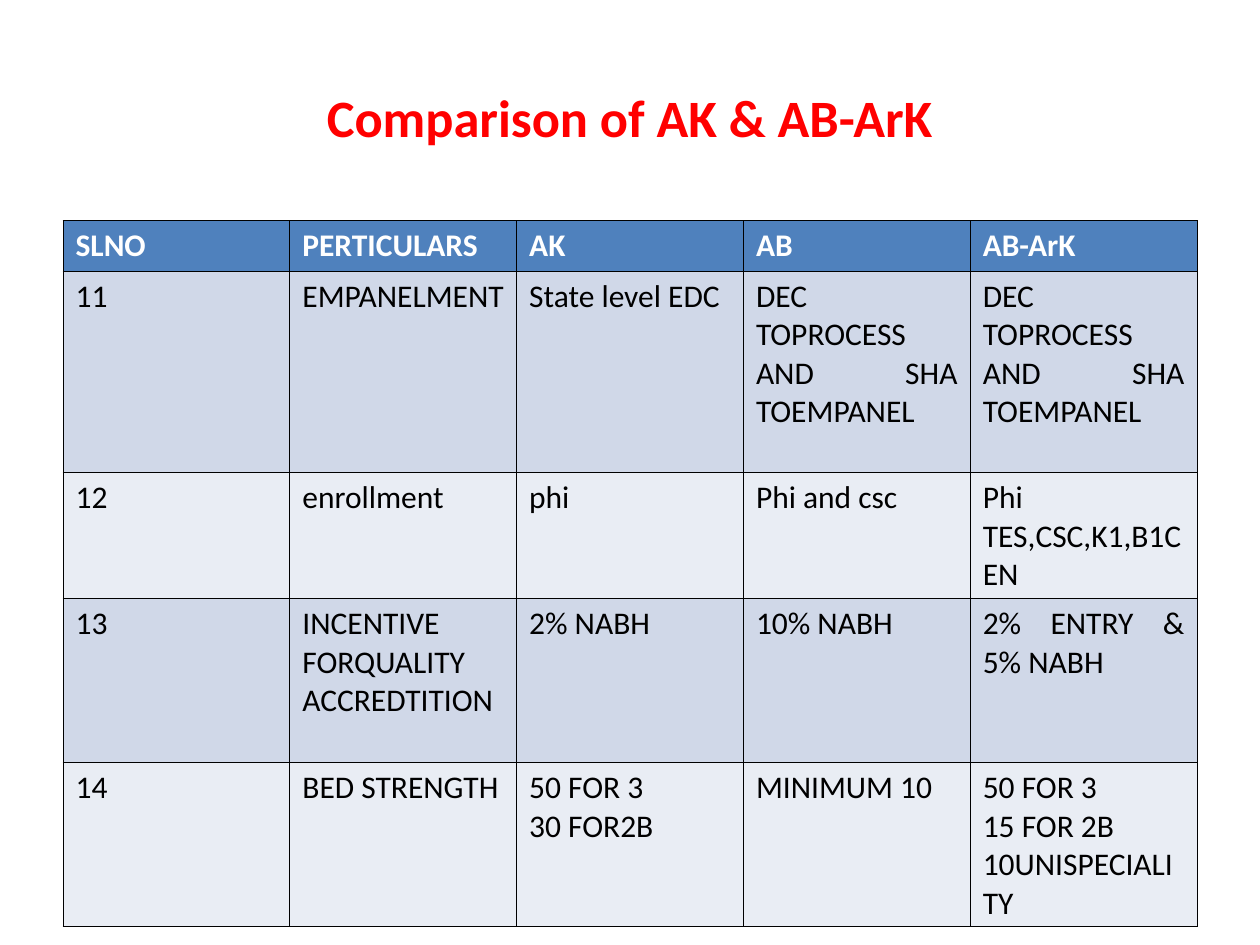
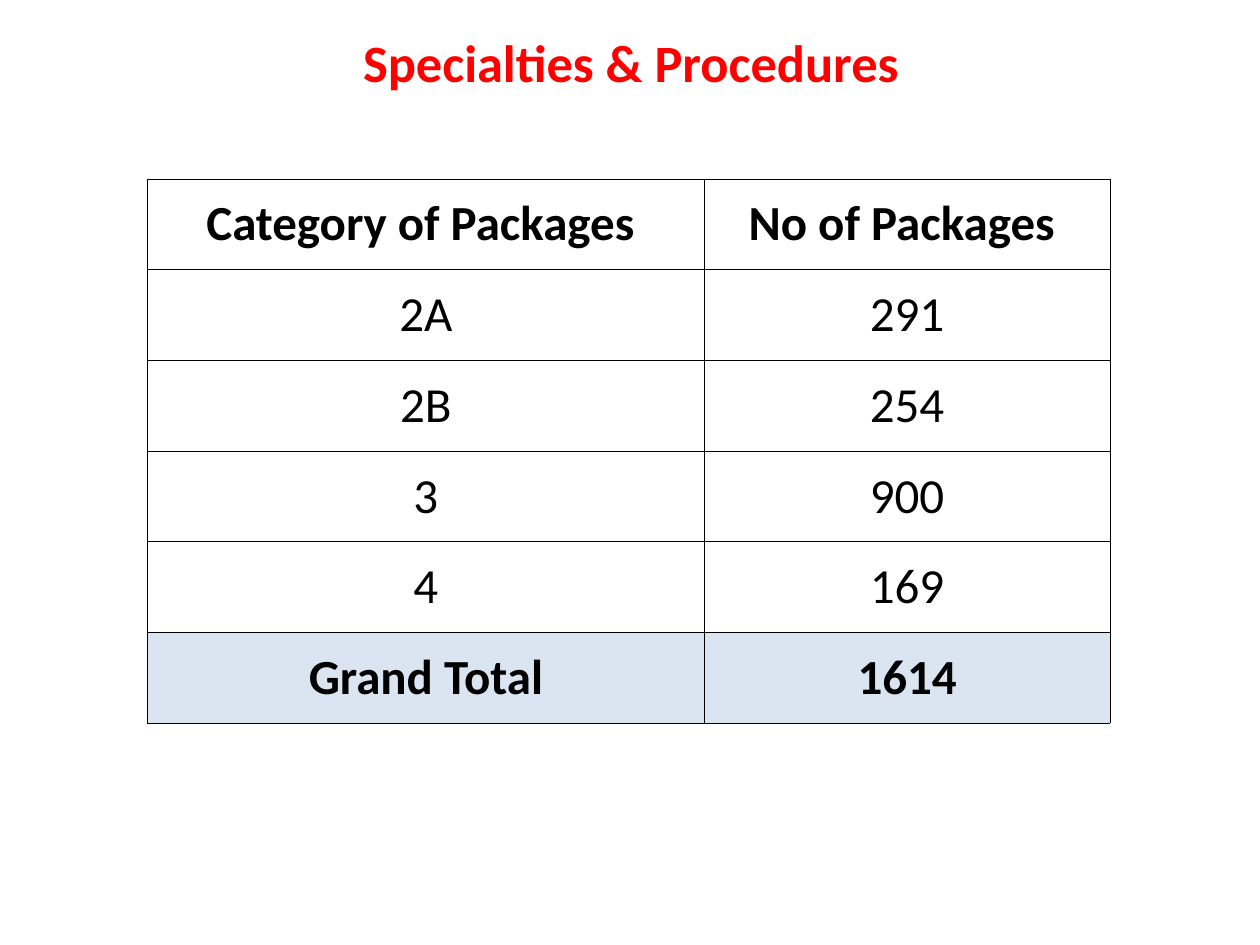
from lxml import etree
from pptx import Presentation
from pptx.dml.color import RGBColor
from pptx.enum.text import MSO_ANCHOR, PP_ALIGN
from pptx.oxml.ns import qn
from pptx.util import Inches, Pt

CENTER, JUSTIFY = PP_ALIGN.CENTER, PP_ALIGN.JUSTIFY
TOP, MIDDLE = MSO_ANCHOR.TOP, MSO_ANCHOR.MIDDLE
FONT = "Calibri"
COLORS = {
    "title": "FF0000", "text": "000000", "border": "000000",
    "header": "4F81BD", "header text": "FFFFFF",
    "odd band": "D0D8E8", "even band": "E9EDF4", "total": "DBE5F1",
}

COMPARISON = [
    ["SLNO", "PERTICULARS", "AK", "AB", "AB-ArK"],
    ["11", "EMPANELMENT", "State level EDC",
     "DEC TOPROCESS AND SHA TOEMPANEL", "DEC TOPROCESS AND SHA TOEMPANEL"],
    ["12", "enrollment", "phi", "Phi and csc", "Phi TES,CSC,K1,B1CEN"],
    ["13", "INCENTIVE FORQUALITY ACCREDTITION", "2% NABH", "10% NABH",
     "2% ENTRY & 5% NABH"],
    ["14", "BED STRENGTH", "50 FOR 3\n30 FOR2B", "MINIMUM 10",
     "50 FOR 3\n15 FOR 2B\n10UNISPECIALITY"],
]
PACKAGES = [
    ["Category of Packages ", "No of Packages "],
    ["2A", "291"],
    ["2B", "254"],
    ["3", "900"],
    ["4", "169"],
    ["Grand Total", "1614"],
]

# Row styles are (fill, text colour, bold); a fill of None leaves the cell clear.
HEADER = ("header", "header text", True)
ODD, EVEN = ("odd band", "text", False), ("even band", "text", False)
PLAIN_BOLD, PLAIN = (None, "text", True), (None, "text", False)
TOTAL = ("total", "text", True)

SLIDES = [
    {
        "title": "Comparison of AK & AB-ArK",
        "title box": (0.5, 0.3, 9, 1.25), "title right inset": 0.1,
        "rows": COMPARISON, "corner": (0.5, 1.75),
        "widths": [1.8] * 5, "heights": [0.4, 1.6, 1, 1.3, 1.3],
        "row styles": [HEADER, ODD, EVEN, ODD, EVEN],
        "size": 18, "align": JUSTIFY, "anchor": TOP,
        "side inset": 0.1, "border": 0.45,
    },
    {
        "title": "Specialties & Procedures",
        "title box": (2.42, 0.25, 5.32, 0.47), "title right inset": 0.24,
        "rows": PACKAGES, "corner": (1.17, 1.42),
        "widths": [4.42, 3.22], "heights": [0.72] * 6,
        "row styles": [PLAIN_BOLD] + [PLAIN] * 4 + [TOTAL],
        "size": 28, "align": CENTER, "anchor": MIDDLE,
        "side inset": 0.01, "border": 0.23,
    },
]


def write_text(frame, text, align, size, color, bold):
    frame.text = text
    for paragraph in frame.paragraphs:
        paragraph.alignment = align
        font = paragraph.font
        for key, value in {"name": FONT, "size": Pt(size), "bold": bold}.items():
            setattr(font, key, value)
        font.color.rgb = RGBColor.from_string(COLORS[color])


def add_title(slide, content):
    box = slide.shapes.add_textbox(*map(Inches, content["title box"]))
    frame = box.text_frame
    frame.word_wrap = True
    frame.vertical_anchor = MIDDLE
    frame.margin_right = Inches(content["title right inset"])
    write_text(frame, content["title"], CENTER, 30, "title", True)


def outline_cell(cell, width):
    """Draw all four borders; they must precede the fill in the cell XML."""
    properties = cell._tc.get_or_add_tcPr()
    for side in ("lnL", "lnR", "lnT", "lnB"):
        line = etree.SubElement(properties, qn(f"a:{side}"), w=str(Pt(width)))
        fill = etree.SubElement(line, qn("a:solidFill"))
        etree.SubElement(fill, qn("a:srgbClr"), val=COLORS["border"])


def format_cell(cell, text, content, fill, color, bold):
    inset = Inches(content["side inset"])
    layout = {"margin_left": inset, "margin_right": inset,
              "margin_top": Inches(0.05), "margin_bottom": Inches(0.05),
              "vertical_anchor": content["anchor"]}
    for key, value in layout.items():
        setattr(cell, key, value)
    outline_cell(cell, content["border"])
    if fill:
        cell.fill.solid()
        cell.fill.fore_color.rgb = RGBColor.from_string(COLORS[fill])
    else:
        cell.fill.background()
    write_text(cell.text_frame, text, content["align"], content["size"], color, bold)


def add_grid(slide, content):
    rows, widths, heights = content["rows"], content["widths"], content["heights"]
    area = (*content["corner"], sum(widths), sum(heights))
    table = slide.shapes.add_table(
        len(rows), len(widths), *map(Inches, area)).table
    table.horz_banding = False
    for column, width in zip(table.columns, widths):
        column.width = Inches(width)
    for row, height, texts, style in zip(
            table.rows, heights, rows, content["row styles"]):
        row.height = Inches(height)
        for cell, text in zip(row.cells, texts):
            format_cell(cell, text, content, *style)


def main():
    deck = Presentation()
    deck.slide_width, deck.slide_height = Inches(10), Inches(7.5)
    blank = deck.slide_layouts[6]
    for content in SLIDES:
        slide = deck.slides.add_slide(blank)
        add_title(slide, content)
        add_grid(slide, content)
    deck.save("out.pptx")


if __name__ == "__main__":
    main()
